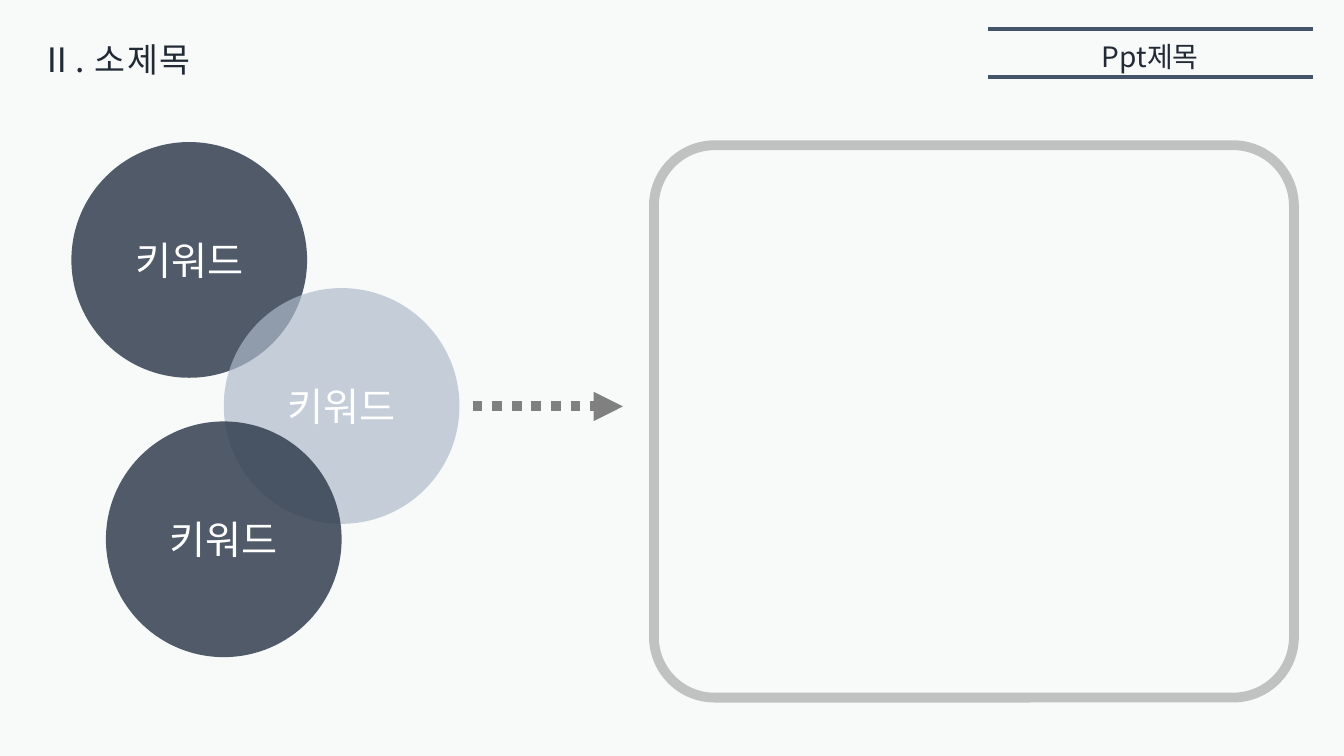
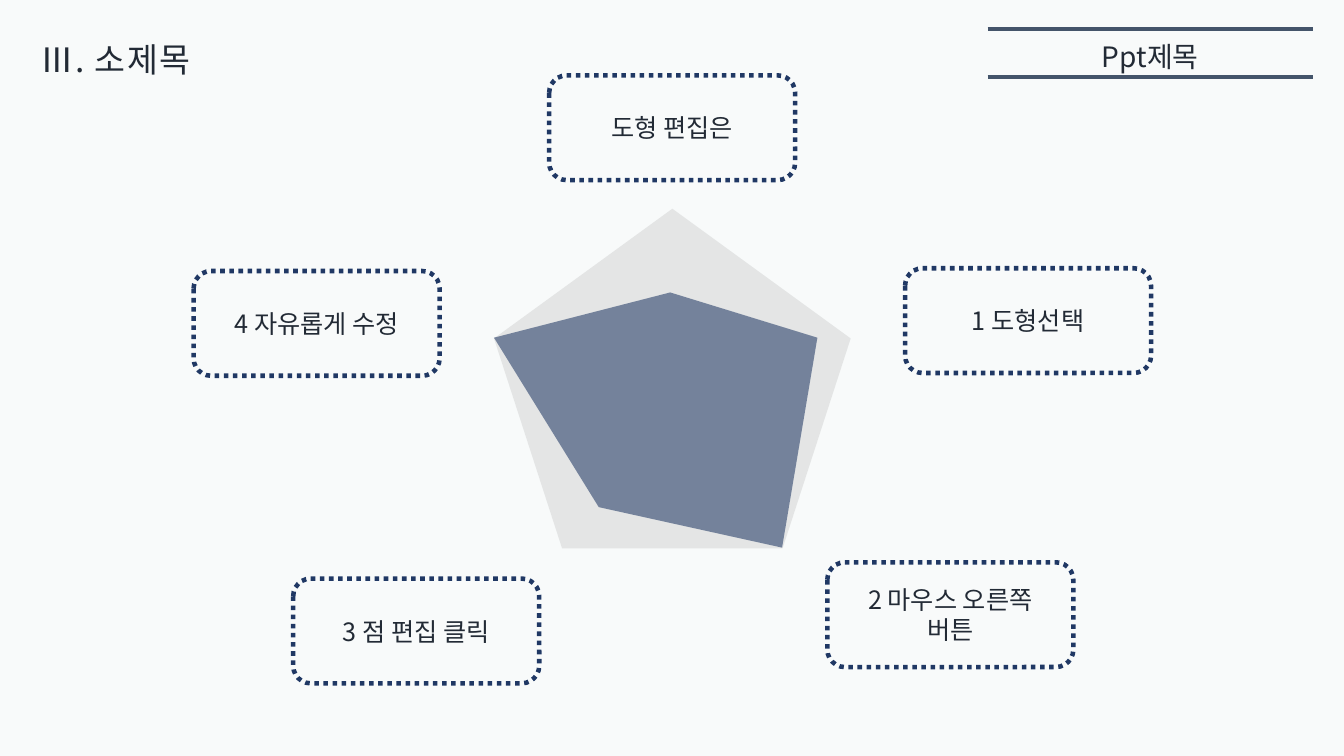
from lxml.etree import SubElement
from pptx import Presentation
from pptx.dml.color import RGBColor
from pptx.enum.dml import MSO_LINE
from pptx.enum.shapes import MSO_CONNECTOR, MSO_SHAPE
from pptx.enum.text import MSO_ANCHOR, MSO_AUTO_SIZE, PP_ALIGN
from pptx.oxml.ns import qn
from pptx.util import Cm, Pt

BACKGROUND = RGBColor(0xF8, 0xFA, 0xFA)
INK = RGBColor(0x22, 0x2A, 0x35)
RULE = RGBColor(0x44, 0x54, 0x6A)
SLATE = RGBColor(0x33, 0x3F, 0x50)
MIST = RGBColor(0xAD, 0xB9, 0xCA)
NAVY = RGBColor(0x20, 0x38, 0x64)
GRAY = RGBColor(0x80, 0x80, 0x80)
SILVER = RGBColor(0xBF, 0xBF, 0xBF)
WHITE = RGBColor(0xFF, 0xFF, 0xFF)

FONT = "Noto Sans CJK KR"
SLIDE_SIZE = (33.87, 19.05)
DECK_NAME = "Ppt제목"
TITLE_BOX = (0.76, 0.85, 9.7, 1.27)
DECK_BOX = (24.89, 0.86, 8.2, 1.12)
RULE_TOPS = (0.74, 1.93)

KEYWORDS_TITLE = "Ⅱ. 소제목"
KEYWORD_DIAMETER = 5.94
KEYWORDS = [
    ("키워드", 1.8, 3.58, SLATE, 85),
    ("키워드", 5.64, 7.26, MIST, 69),
    ("키워드", 2.67, 10.62, SLATE, 85),
]
FRAME_BOX = (16.48, 3.66, 16.13, 13.92)
ARROW = (11.91, 10.24, 15.7, 10.24)

STEPS_TITLE = "Ⅲ. 소제목"
STEP_SIZE = (6.2, 2.64)
STEPS = [
    ("4 자유롭게 수정", 4.88, 6.83),
    ("3 점 편집 클릭", 7.39, 14.58),
    ("2 마우스 오른쪽 버튼", 20.85, 14.17),
    ("1 도형선택", 22.81, 6.76),
    ("도형 편집은", 13.84, 1.9),
]
PENTAGON_BOX = (12.45, 5.26, 8.99, 8.56)
EDITED_POINTS = [(12.45, 8.51), (16.89, 7.37), (20.6, 8.51), (19.71, 13.8), (15.09, 12.78)]


def apply_formats(target, formats):
    for name, value in formats.items():
        setattr(target, name, value)


def to_cm(values):
    return [Cm(value) for value in values]


def set_alpha(properties, percent):
    color = properties.find(qn("a:solidFill")).find(qn("a:srgbClr"))
    SubElement(color, qn("a:alpha")).set("val", str(percent * 1000))


def write_text(shape, text, size, color, alignment, frame_formats=None, spacing=None):
    frame = shape.text_frame
    frame.text = text
    apply_formats(frame, {"word_wrap": True, **(frame_formats or {})})
    paragraph = frame.paragraphs[0]
    paragraph.alignment = alignment
    run = paragraph.runs[0]
    apply_formats(run.font, {"size": Pt(size), "name": FONT})
    run.font.color.rgb = color
    properties = run._r.get_or_add_rPr()
    SubElement(properties, qn("a:ea")).set("typeface", FONT)
    if spacing:
        properties.set("spc", str(spacing * 100))


def style_line(line, color, width, dash=None):
    line.color.rgb = color
    apply_formats(line, {"width": Pt(width), "dash_style": dash})


def style_shape(shape, fill=None, alpha=None):
    shape.shadow.inherit = False
    if fill is None:
        shape.fill.background()
        return
    shape.fill.solid()
    shape.fill.fore_color.rgb = fill
    shape.line.fill.background()
    set_alpha(shape._element.spPr, alpha)


def add_preset(slide, kind, box, fill=None, alpha=None):
    shape = slide.shapes.add_shape(kind, *to_cm(box))
    style_shape(shape, fill, alpha)
    return shape


def add_line(slide, ends, color, width, dash=None):
    connector = slide.shapes.add_connector(MSO_CONNECTOR.STRAIGHT, *to_cm(ends))
    style_line(connector.line, color, width, dash)
    SubElement(connector._element.spPr, qn("a:effectLst"))
    return connector


def add_base_slide(presentation, title):
    slide = presentation.slides.add_slide(presentation.slide_layouts[5])
    header_format = {"auto_size": MSO_AUTO_SIZE.SHAPE_TO_FIT_TEXT, "vertical_anchor": MSO_ANCHOR.TOP}
    write_text(slide.shapes.title, title, 24, INK, PP_ALIGN.LEFT, header_format, spacing=1)
    deck_name = slide.shapes.add_textbox(*to_cm(DECK_BOX))
    write_text(deck_name, DECK_NAME, 20, INK, PP_ALIGN.CENTER, header_format)
    left, _, width, _ = DECK_BOX
    for top in RULE_TOPS:
        add_line(slide, (left, top, left + width, top), RULE, 2.75)
    return slide


def build_keywords(presentation):
    slide = add_base_slide(presentation, KEYWORDS_TITLE)
    frame = add_preset(slide, MSO_SHAPE.ROUNDED_RECTANGLE, FRAME_BOX)
    frame.adjustments[0] = 0.11
    style_line(frame.line, GRAY, 7)
    set_alpha(frame._element.spPr.find(qn("a:ln")), 46)
    for text, left, top, color, alpha in KEYWORDS:
        box = (left, top, KEYWORD_DIAMETER, KEYWORD_DIAMETER)
        circle = add_preset(slide, MSO_SHAPE.OVAL, box, color, alpha)
        write_text(circle, text, 28, WHITE, PP_ALIGN.CENTER)
    arrow = add_line(slide, ARROW, GRAY, 7, MSO_LINE.ROUND_DOT)
    line_properties = arrow._element.spPr.find(qn("a:ln"))
    SubElement(line_properties, qn("a:tailEnd")).set("type", "triangle")
    line_properties.find(qn("a:prstDash")).set("val", "sysDot")


def build_steps(presentation):
    slide = add_base_slide(presentation, STEPS_TITLE)
    add_preset(slide, MSO_SHAPE.REGULAR_PENTAGON, PENTAGON_BOX, SILVER, 35)
    start, *others = [to_cm(point) for point in EDITED_POINTS]
    builder = slide.shapes.build_freeform(*start)
    builder.add_line_segments(others, close=True)
    style_shape(builder.convert_to_shape(), NAVY, 57)
    for text, left, top in STEPS:
        card = add_preset(slide, MSO_SHAPE.ROUNDED_RECTANGLE, (left, top, *STEP_SIZE))
        style_line(card.line, NAVY, 3.25, MSO_LINE.ROUND_DOT)
        card._element.spPr.find(qn("a:ln")).find(qn("a:prstDash")).set("val", "sysDot")
        write_text(card, text, 18, INK, PP_ALIGN.CENTER)


def main():
    presentation = Presentation()
    width, height = to_cm(SLIDE_SIZE)
    apply_formats(presentation, {"slide_width": width, "slide_height": height})
    background = presentation.slide_master.background.fill
    background.solid()
    background.fore_color.rgb = BACKGROUND
    layout_title = presentation.slide_layouts[5].placeholders[0]
    apply_formats(layout_title, dict(zip(("left", "top", "width", "height"), to_cm(TITLE_BOX))))
    build_keywords(presentation)
    build_steps(presentation)
    presentation.save("out.pptx")


if __name__ == "__main__":
    main()
